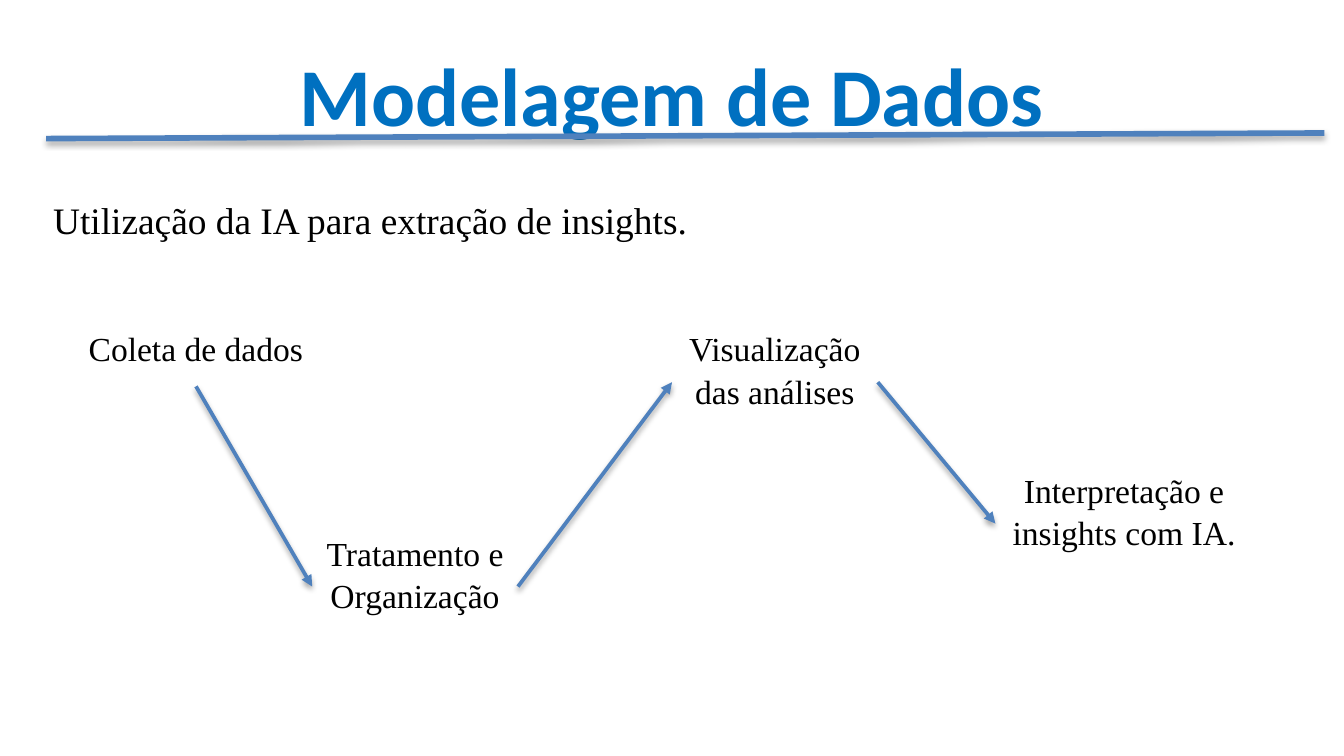
import pptx
import pptx.dml.color
import pptx.enum.shapes
import pptx.enum.text
import pptx.oxml
import pptx.oxml.ns
import pptx.util

PX = 9525
BLUE = pptx.dml.color.RGBColor(0x00, 0x70, 0xC0)
STEEL = pptx.dml.color.RGBColor(0x4F, 0x81, 0xBD)
BLACK = pptx.dml.color.RGBColor(0x00, 0x00, 0x00)
ALIGN = pptx.enum.text.PP_ALIGN
ANCHOR = pptx.enum.text.MSO_ANCHOR
TOP, LEFT, BOTTOM, RIGHT = range(4)
SERIF = "Times New Roman"
SHADOW = (
    f'<a:effectLst {pptx.oxml.ns.nsdecls("a")}>'
    '<a:outerShdw blurRad="38100" dist="22860" dir="5400000" rotWithShape="0">'
    '<a:srgbClr val="000000"><a:alpha val="35000"/></a:srgbClr>'
    '</a:outerShdw></a:effectLst>'
)
ARROWHEAD = f'<a:tailEnd {pptx.oxml.ns.nsdecls("a")} type="triangle"/>'


def add_text(s, box, text, size, color=BLACK, font=SERIF, align=ALIGN.CENTER,
             anchor=ANCHOR.TOP, bold=False, spacing=1.05):
    """Add a one-paragraph text box at box, given in px."""
    sp = s.shapes.add_textbox(*(v * PX for v in box))
    tf = sp.text_frame
    tf.word_wrap = True
    tf.vertical_anchor = anchor
    tf.margin_left = tf.margin_right = tf.margin_top = tf.margin_bottom = 5 * PX
    p = tf.paragraphs[0]
    p.text = text
    p.alignment = align
    p.line_spacing = spacing
    p.font.name = font
    p.font.size = pptx.util.Pt(size)
    p.font.bold = bold
    p.font.color.rgb = color
    return sp


def add_line(s, x1, y1, x2, y2, width):
    """Add a straight shadowed line between two points, given in px."""
    line = s.shapes.add_connector(
        pptx.enum.shapes.MSO_CONNECTOR.STRAIGHT, *(v * PX for v in (x1, y1, x2, y2)))
    line.line.color.rgb = STEEL
    line.line.width = pptx.util.Pt(width)
    line._element.spPr.append(pptx.oxml.parse_xml(SHADOW))
    return line


def add_arrow(s, start, start_side, end, end_side):
    """Join the sides of two steps with an arrow."""
    arrow = add_line(s, 0, 0, 0, 0, 2)
    arrow.begin_connect(start, start_side)
    arrow.end_connect(end, end_side)
    arrow.line._get_or_add_ln().append(pptx.oxml.parse_xml(ARROWHEAD))


def add_header(s, x, y, w, h):
    """Add the title and the rule that runs under it."""
    add_text(s, (x, y, w, h), "Modelagem de Dados", 44, BLUE, "Calibri",
             anchor=ANCHOR.MIDDLE, bold=True, spacing=1.0)
    add_line(s, x - 15, y + 77, x + w + 34, y + 73, 3)


def add_flow(s, x, y):
    """Add the four process steps and the arrows between them."""
    steps = [
        ("Coleta de dados", 0, 0, 184, 48),
        ("Tratamento e Organização", 175, 146, 147, 90),
        ("Visualização das análises", 432, 0, 147, 90),
        ("Interpretação e insights com IA.", 663, 101, 184, 90),
    ]
    boxes = [add_text(s, (x + dx, y + dy, w, h), text, 18)
             for text, dx, dy, w, h in steps]
    for start, end, side in zip(boxes, boxes[1:], (BOTTOM, RIGHT, RIGHT)):
        add_arrow(s, start, side, end, LEFT)


def main():
    """Build and save the slide."""
    prs = pptx.Presentation()
    prs.slide_width, prs.slide_height = 960 * PX, 540 * PX
    s = prs.slides.add_slide(prs.slide_layouts[6])
    add_header(s, 48, 22, 864, 90)
    add_text(s, (33, 134, 926, 61), "Utilização da IA para extração de insights.", 20,
             align=ALIGN.JUSTIFY)
    add_flow(s, 48, 228)
    prs.save("out.pptx")


if __name__ == "__main__":
    main()
